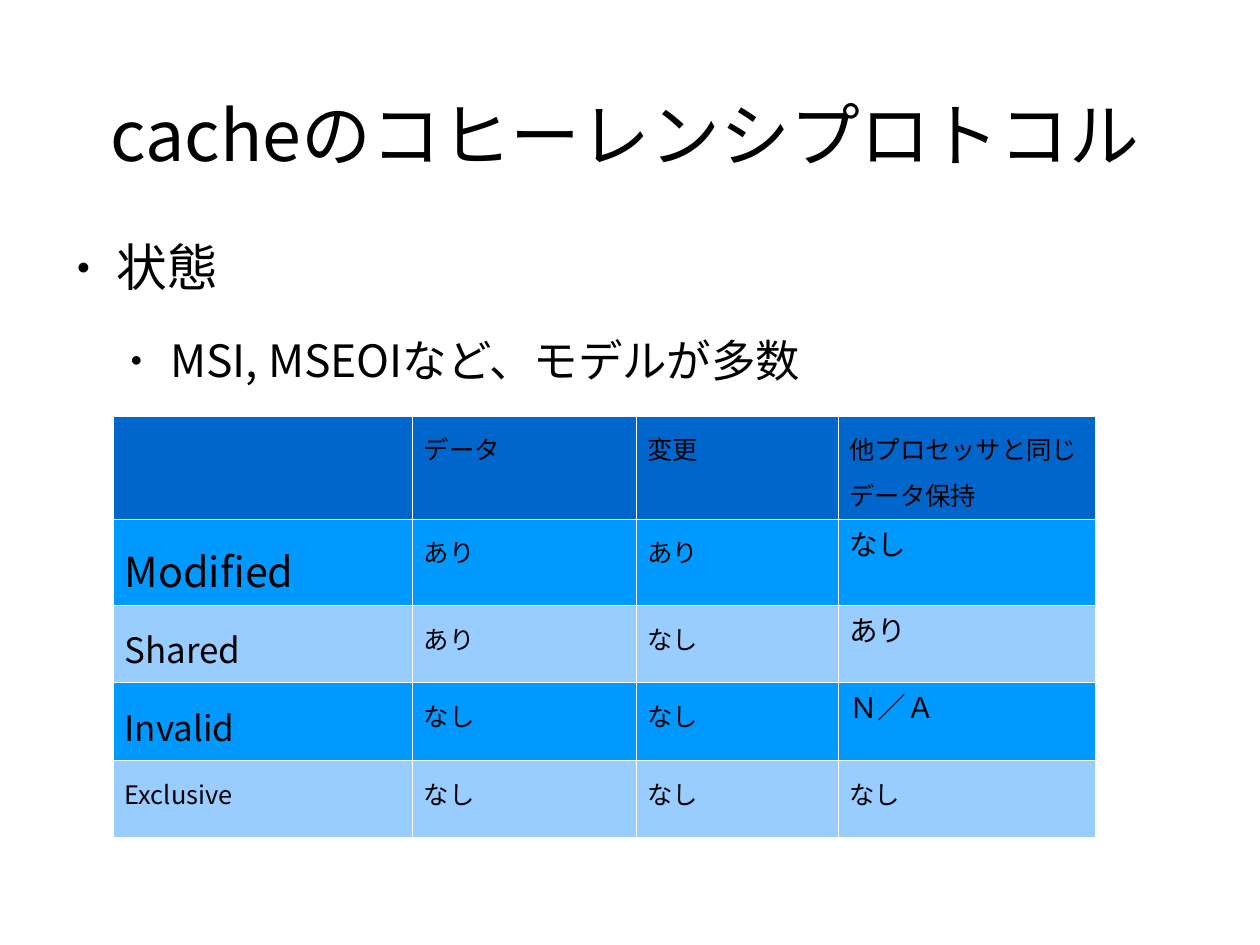
from dataclasses import dataclass

from lxml import etree
from pptx import Presentation
from pptx import util as u
from pptx.dml.color import RGBColor
from pptx.enum import text
from pptx.oxml import ns


@dataclass(frozen=True)
class Theme:
    sans: str = "Noto Sans CJK JP"
    latin: str = "Arial"
    ink: str = "000000"
    border: str = "FFFFFF"
    header: str = "0066CC"
    bands: tuple = ("0099FF", "99CCFF")
    title: int = 44
    bullets: tuple = (32, 28)
    cell: int = 16
    note: int = 18
    state: int = 22
    lead: int = 26


theme = Theme()
deck = Presentation()
deck.slide_width, deck.slide_height = u.Cm(28), u.Cm(21)
column, row = deck.slide_width / 100, deck.slide_height / 100
page = deck.slides.add_slide(deck.slide_layouts[1])


def style(para, size, face=theme.sans, spacing=1.25):
    para.line_spacing = spacing
    para.space_before = u.Pt(0)
    para.font.size = u.Pt(size)
    para.font.name = face
    para.font.color.rgb = RGBColor.from_string(theme.ink)
    defaults = para._p.pPr.find(ns.qn("a:defRPr"))
    etree.SubElement(defaults, ns.qn("a:ea"), typeface=theme.sans)
    return defaults


def place(box, left, top, width, height):
    box.left, box.width = int(left * column), int(width * column)
    box.top, box.height = int(top * row), int(height * row)
    frame = box.text_frame
    frame.margin_left = frame.margin_right = 0
    frame.margin_top = frame.margin_bottom = 0
    frame.auto_size = text.MSO_AUTO_SIZE.NONE
    return frame


heading = place(page.shapes.title, 4.63, 4.72, 90, 16.7)
heading.text = "cacheのコヒーレンシプロトコル"
heading.vertical_anchor = text.MSO_ANCHOR.MIDDLE
heading.paragraphs[0].alignment = text.PP_ALIGN.CENTER
style(heading.paragraphs[0], theme.title)

body = place(page.placeholders[1], 5, 23.38, 90, 66)
body.text = "状態\nMSI, MSEOIなど、モデルが多数"
for level, (para, size, gap) in enumerate(zip(body.paragraphs, theme.bullets, (14.3, 11.4))):
    para.level = level
    para.space_after = u.Pt(gap)
    defaults = style(para, size)
    para._p.pPr.set("marL", str(int(4.26 * (level + 1) * column)))
    para._p.pPr.set("indent", str(int(-3.18 * column)))
    for tag, name, value in (
        ("a:buSzPct", "val", "45000"),
        ("a:buFont", "typeface", theme.latin),
        ("a:buChar", "char", "●"),
    ):
        bullet = etree.Element(ns.qn(tag))
        bullet.set(name, value)
        defaults.addprevious(bullet)

states = (
    ("", "データ", "変更", "他プロセッサと同じデータ保持"),
    ("Modified", "あり", "あり", "なし"),
    ("Shared", "あり", "なし", "あり"),
    ("Invalid", "なし", "なし", "Ｎ／Ａ"),
    ("Exclusive", "なし", "なし", "なし"),
)
widths = (23.73, 17.75, 16.03, 20.4)
heights = (9.31,) + (8.2,) * 4
state_sizes = (theme.cell, theme.lead, theme.state, theme.state, theme.cell)
table = page.shapes.add_table(
    len(states), len(widths), int(9 * column), int(44 * row),
    int(sum(widths) * column), int(sum(heights) * row),
).table
table.first_row = table.horz_banding = False
for index, width in enumerate(widths):
    table.columns[index].width = int(width * column)

for line, (words, height, state_size) in enumerate(zip(states, heights, state_sizes)):
    table.rows[line].height = int(height * row)
    shade = theme.bands[(line - 1) % 2] if line else theme.header
    for index, word in enumerate(words):
        cell = table.cell(line, index)
        cell.text = word
        para = cell.text_frame.paragraphs[0]
        if index == 3 and 0 < line < 4:
            style(para, theme.note, theme.latin, 0.93)
        else:
            style(para, theme.cell if index else state_size)
        cell.fill.solid()
        cell.fill.fore_color.rgb = RGBColor.from_string(shade)
        properties = cell._tc.tcPr
        for position, side in enumerate(("a:lnL", "a:lnR", "a:lnT", "a:lnB")):
            edge = etree.Element(ns.qn(side), w=str(int(u.Pt(0.06))))
            paint = etree.SubElement(edge, ns.qn("a:solidFill"))
            etree.SubElement(paint, ns.qn("a:srgbClr"), val=theme.border)
            properties.insert(position, edge)

deck.save("out.pptx")
